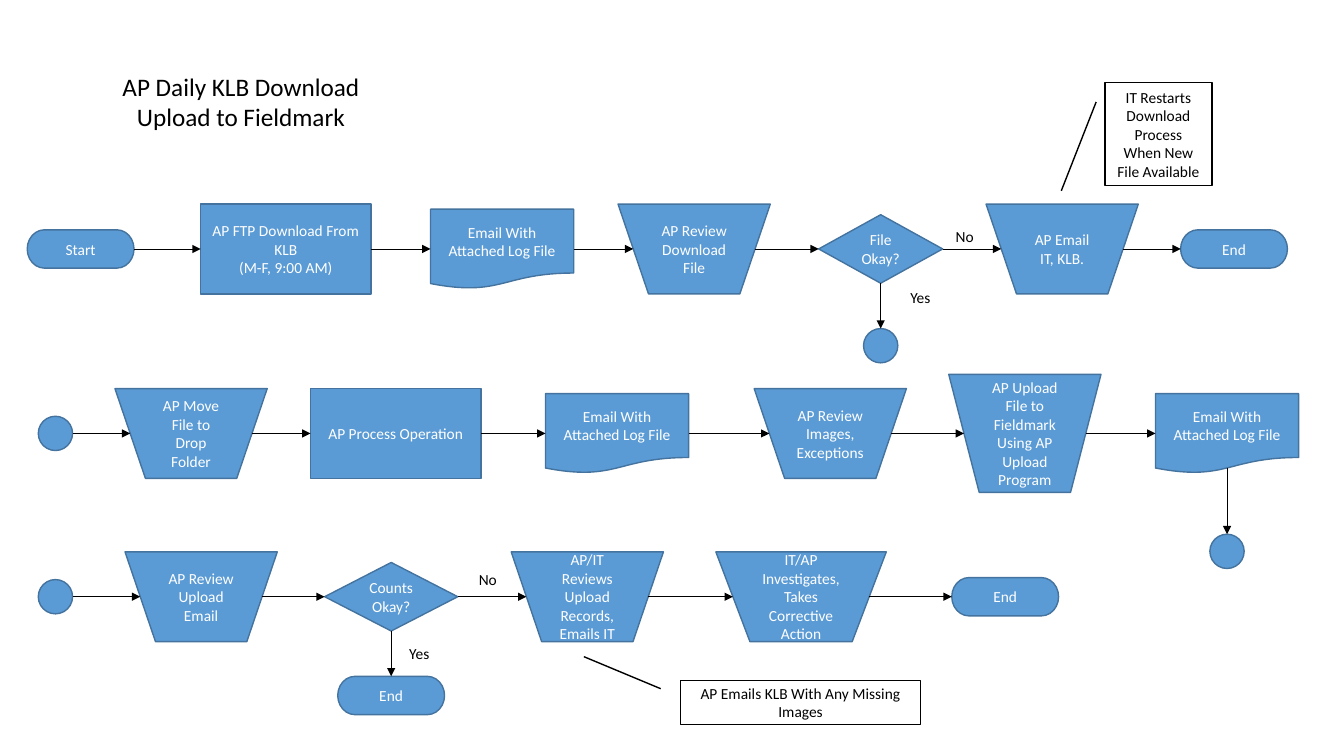
from dataclasses import dataclass
from itertools import pairwise

from lxml.etree import SubElement
from pptx import Presentation
from pptx.dml.color import RGBColor
from pptx.enum.shapes import MSO_CONNECTOR, MSO_SHAPE as Preset
from pptx.enum.text import MSO_ANCHOR as Anchor, PP_ALIGN as Align
from pptx.oxml.ns import qn
from pptx.util import Inches, Pt


@dataclass(frozen=True)
class Theme:
    font: str = "Calibri"
    title_size: int = 18
    body_size: int = 11
    outline_width: float = 1
    arrow_width: float = 0.5
    blue: RGBColor = RGBColor.from_string("5B9BD5")
    navy: RGBColor = RGBColor.from_string("43739E")
    black: RGBColor = RGBColor.from_string("000000")
    white: RGBColor = RGBColor.from_string("FFFFFF")


THEME = Theme()

KINDS = {
    "terminator": (Preset.FLOWCHART_TERMINATOR, 1.06, 0.38),
    "process": (Preset.FLOWCHART_PROCESS, 1.69, 0.89),
    "document": (Preset.FLOWCHART_DOCUMENT, 1.42, 0.79),
    "manual": (Preset.FLOWCHART_MANUAL_OPERATION, 1.51, 0.89),
    "decision": (Preset.FLOWCHART_DECISION, 1.23, 0.68),
    "junction": (Preset.FLOWCHART_CONNECTOR, 0.34, 0.34),
}
LOG_EMAIL = "Email With Attached Log File"

ROWS = [
    (2.47, [
        ("terminator", 0.27, "Start"),
        ("process", 1.99, "AP FTP Download From KLB\n(M-F, 9:00 AM)"),
        ("document", 4.27, LOG_EMAIL),
        ("manual", 6.13, "AP Review Download File"),
        ("decision", 8.12, "File Okay?"),
        ("manual", 9.78, "AP Email IT, KLB."),
        ("terminator", 11.71, "End"),
    ]),
    (4.3, [
        ("junction", 0.38, ""),
        ("manual", 1.14, "AP Move File to Drop Folder"),
        ("process", 3.08, "AP Process Operation"),
        ("document", 5.41, LOG_EMAIL),
        ("manual", 7.48, "AP Review Images, Exceptions"),
        ("manual", 9.41, "AP Upload File to Fieldmark Using AP Upload Program", {"height": 1.17}),
        ("document", 11.46, LOG_EMAIL),
    ]),
    (5.92, [
        ("junction", 0.38, ""),
        ("manual", 1.24, "AP Review Upload Email"),
        ("decision", 3.22, "Counts Okay?", {"width": 1.32}),
        ("manual", 5.07, "AP/IT Reviews Upload Records, Emails IT"),
        ("manual", 7.1, "IT/AP Investigates, Takes Corrective Action", {"width": 1.69}),
        ("terminator", 9.44, "End"),
    ]),
]

DROPS = [
    (0, 4, "junction", 3.26, ""),
    (1, 6, "junction", 5.3, ""),
    (2, 2, "terminator", 6.71, "End"),
]

CALLOUTS = [
    ((10.96, 0.82, 1.06, 1.02), (0.188, -0.083, 1.052, -0.409),
     "IT Restarts Download Process When New File Available"),
    ((6.75, 6.75, 2.38, 0.44), (0.188, -0.083, -0.534, -0.403),
     "AP Emails KLB With Any Missing Images"),
]

TITLE = ("AP Daily KLB Download\nUpload to Fieldmark", (0.02, 0.65, 4.74, 0.71))
BRANCH_LABELS = [("No", 9.38, 2.2), ("Yes", 8.93, 2.81), ("No", 4.65, 5.61), ("Yes", 3.96, 6.34)]

SITES = {"top": 0, "left": 1, "bottom": 2, "right": 3}


def write(shape, text, color, size=THEME.body_size, align=Align.CENTER, anchor=Anchor.MIDDLE):
    frame = shape.text_frame
    frame.word_wrap = True
    frame.vertical_anchor = anchor
    frame.text = text
    for paragraph in frame.paragraphs:
        paragraph.alignment = align
        paragraph.font.name = THEME.font
        paragraph.font.size = Pt(size)
        paragraph.font.color.rgb = color


def add_box(preset, box, fill, line, text, color):
    shape = slide.shapes.add_shape(preset, *map(Inches, box))
    shape.shadow.inherit = False
    shape.fill.solid()
    shape.fill.fore_color.rgb = fill
    shape.line.color.rgb = line
    shape.line.width = Pt(THEME.outline_width)
    if text:
        write(shape, text, color)
    return shape


def add_node(kind, left, top, text, width, height):
    box = (left, top, width, height)
    shape = add_box(KINDS[kind][0], box, THEME.blue, THEME.navy, text, THEME.white)
    return kind, shape


def site_point(node, side):
    kind, shape = node
    inset = shape.width // 10 if kind == "manual" else 0
    depth = 0.93 if kind == "document" else 1
    middle_x = shape.left + shape.width // 2
    middle_y = shape.top + shape.height // 2
    return {
        "left": (shape.left + inset, middle_y),
        "right": (shape.left + shape.width - inset, middle_y),
        "top": (middle_x, shape.top),
        "bottom": (middle_x, shape.top + int(shape.height * depth)),
    }[side]


def site_index(node, side):
    return SITES[side] * (2 if node[0] == "junction" else 1)


def add_arrow(source, source_side, target, target_side):
    start, end = site_point(source, source_side), site_point(target, target_side)
    arrow = slide.shapes.add_connector(MSO_CONNECTOR.STRAIGHT, *start, *end)
    arrow.begin_connect(source[1], SITES[source_side])
    arrow.end_connect(target[1], SITES[target_side])
    links = arrow._element.nvCxnSpPr.cNvCxnSpPr
    links.stCxn.idx = site_index(source, source_side)
    links.endCxn.idx = site_index(target, target_side)
    arrow.begin_x, arrow.begin_y = start
    arrow.end_x, arrow.end_y = end
    arrow.line.color.rgb = THEME.black
    arrow.line.width = Pt(THEME.arrow_width)
    properties = arrow._element.spPr
    SubElement(properties.find(qn("a:ln")), qn("a:tailEnd"), type="triangle")
    SubElement(properties, qn("a:effectLst"))


presentation = Presentation()
presentation.slide_width = Inches(13.33)
presentation.slide_height = Inches(7.5)
slide = presentation.slides.add_slide(presentation.slide_layouts[6])

title_text, title_box = TITLE
title = slide.shapes.add_textbox(*map(Inches, title_box))
write(title, title_text, THEME.black, THEME.title_size)

rows = []
for center, steps in ROWS:
    nodes = []
    for kind, left, text, *custom in steps:
        size = dict(zip(("width", "height"), KINDS[kind][1:]))
        size.update(*custom)
        nodes.append(add_node(kind, left, center - size["height"] / 2, text, **size))
    for source, target in pairwise(nodes):
        add_arrow(source, "right", target, "left")
    rows.append(nodes)

for row, column, kind, top, text in DROPS:
    source = rows[row][column]
    width, height = KINDS[kind][1:]
    center = (source[1].left + source[1].width / 2) / Inches(1)
    target = add_node(kind, center - width / 2, top, text, width, height)
    add_arrow(source, "bottom", target, "top")

for box, pointer, text in CALLOUTS:
    callout = add_box(Preset.LINE_CALLOUT_1, box, THEME.white, THEME.black, text, THEME.black)
    for index, value in enumerate(pointer):
        callout.adjustments[index] = value

for text, left, top in BRANCH_LABELS:
    label = slide.shapes.add_textbox(*map(Inches, (left, top, 0.42, 0.29)))
    write(label, text, THEME.black, align=Align.LEFT, anchor=Anchor.TOP)

presentation.save("out.pptx")
